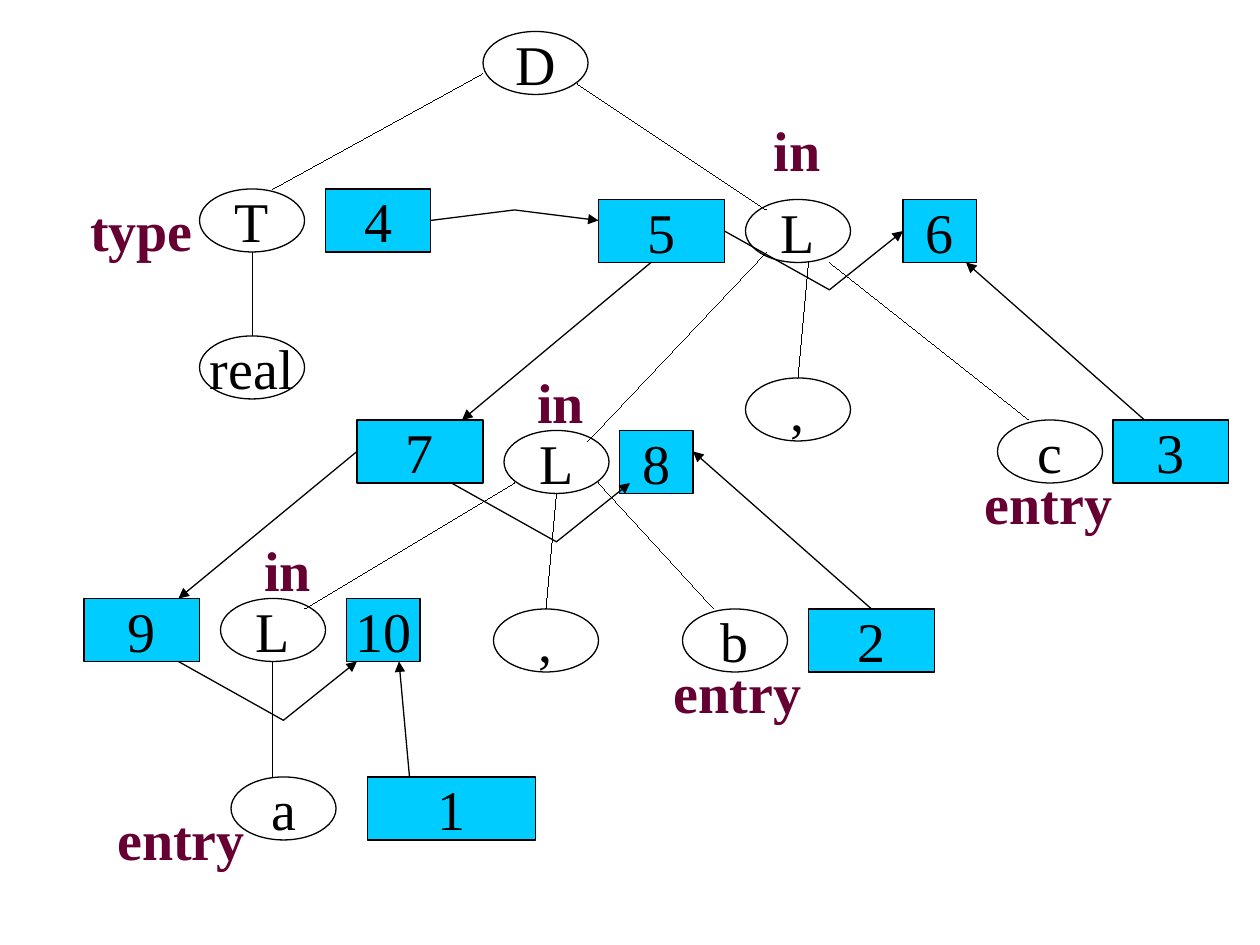
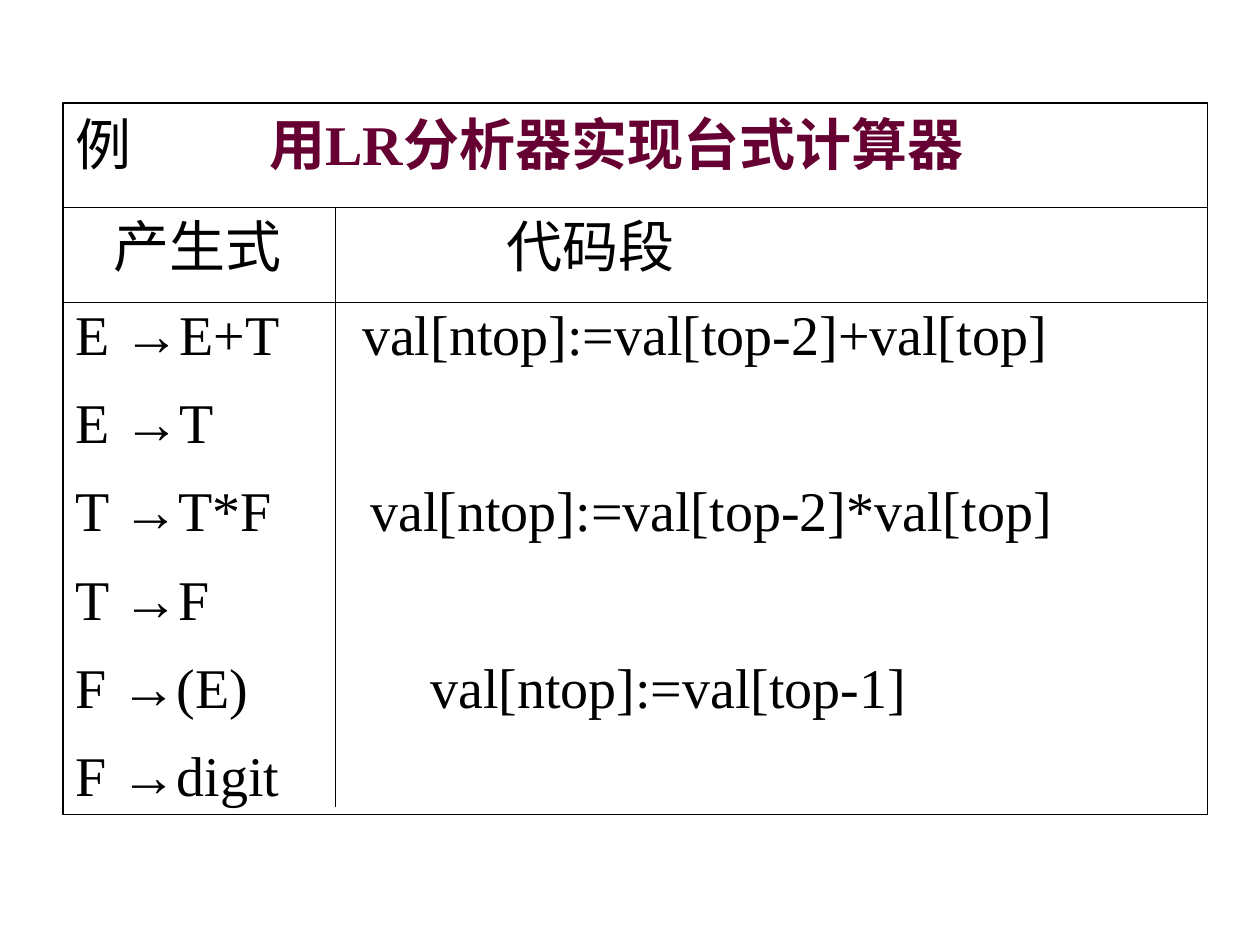
from dataclasses import dataclass
from typing import NamedTuple

from lxml import etree
from pptx import Presentation
from pptx import util as u
from pptx.dml.color import RGBColor
from pptx.enum import shapes, text
from pptx.oxml.ns import qn

PX = u.Inches(1) // 120


@dataclass(frozen=True)
class Theme:
    ink: RGBColor = RGBColor(0x00, 0x00, 0x00)
    paper: RGBColor = RGBColor(0xFF, 0xFF, 0xFF)
    order_fill: RGBColor = RGBColor(0x00, 0xCC, 0xFF)
    accent: RGBColor = RGBColor(0x66, 0x00, 0x33)
    font: str = "Times New Roman"
    arrow_font: str = "Arial"
    size: u.Pt = u.Pt(32)
    line: u.Pt = u.Pt(0.75)
    heading_gap: u.Pt = u.Pt(20)
    row_gap: u.Pt = u.Pt(12)


THEME = Theme()


class Point(NamedTuple):
    x: int
    y: int


class Symbol(NamedTuple):
    """A grammar symbol in the parse tree."""
    name: str
    x: int
    y: int


class Step(NamedTuple):
    """A numbered node of the dependency graph."""
    number: int
    x: int
    y: int
    width: int


class Attribute(NamedTuple):
    name: str
    x: int
    y: int


class Rule(NamedTuple):
    left: str
    right: str
    code: str = ""
    code_at: int = 0


SYMBOL_WIDTH, NODE_HEIGHT, ATTRIBUTE_HEIGHT = 100, 60, 77
ATTRIBUTE_WIDTHS = {"entry": 147, "type": 123, "in": 70}

SYMBOLS = [
    Symbol("D", 460, 30),
    Symbol("T", 190, 180), Symbol("real", 190, 320),
    Symbol("L", 710, 190), Symbol(",", 710, 360), Symbol("c", 950, 400),
    Symbol("L", 480, 410), Symbol(",", 470, 580), Symbol("b", 650, 580),
    Symbol("L", 210, 570), Symbol("a", 220, 740),
]
BRANCHES = [
    (Point(460, 70), Point(260, 180)),
    (Point(550, 80), Point(730, 200)),
    (Point(240, 320), Point(240, 240)),
    (Point(730, 240), Point(560, 420)),
    (Point(770, 250), Point(760, 360)),
    (Point(790, 250), Point(980, 400)),
    (Point(490, 460), Point(290, 580)),
    (Point(530, 470), Point(520, 580)),
    (Point(570, 460), Point(680, 580)),
    (Point(260, 630), Point(260, 740)),
]
STEPS = [
    Step(1, 350, 740, 160), Step(2, 770, 580, 120), Step(3, 1060, 400, 110),
    Step(4, 310, 180, 100), Step(5, 570, 190, 120), Step(6, 860, 190, 70),
    Step(7, 340, 400, 120), Step(8, 590, 410, 70), Step(9, 80, 570, 110),
    Step(10, 330, 570, 70),
]
DEPENDENCIES = [
    (Point(410, 210), Point(490, 200), Point(570, 210)),
    (Point(690, 220), Point(790, 276), Point(860, 220)),
    (Point(1090, 400), Point(920, 250)),
    (Point(620, 250), Point(440, 400)),
    (Point(430, 460), Point(530, 516), Point(600, 460)),
    (Point(830, 580), Point(660, 430)),
    (Point(340, 430), Point(170, 570)),
    (Point(390, 740), Point(380, 630)),
    (Point(170, 630), Point(270, 686), Point(340, 630)),
]
ATTRIBUTES = [
    Attribute("entry", 100, 760), Attribute("entry", 630, 620),
    Attribute("entry", 926, 440), Attribute("type", 74, 180),
    Attribute("in", 725, 104), Attribute("in", 500, 344),
    Attribute("in", 240, 504),
]
RULES = [
    Rule("E", "E+T", "val[ntop]:=val[top-2]+val[top]", 273),
    Rule("E", "T"),
    Rule("T", "T*F", "val[ntop]:=val[top-2]*val[top]", 281),
    Rule("T", "F"),
    Rule("F", "(E)", "val[ntop]:=val[top-1]", 338),
    Rule("F", "digit"),
]


def write(paragraph, words: str, *, color: RGBColor = THEME.ink,
          bold: bool = False, font: str = THEME.font) -> None:
    run = paragraph.add_run()
    run.text = words
    run.font.name, run.font.size = font, THEME.size
    run.font.bold, run.font.color.rgb = bold, color


def outline(shape) -> None:
    shape.line.color.rgb = THEME.ink
    shape.line.width = THEME.line


def add_box(slide, kind, x: int, y: int, width: int, height: int, fill: RGBColor):
    box = slide.shapes.add_shape(kind, x * PX, y * PX, width * PX, height * PX)
    box.shadow.inherit = False
    box.fill.solid()
    box.fill.fore_color.rgb = fill
    outline(box)
    return box


def add_node(slide, kind, label: str, x: int, y: int, width: int, fill: RGBColor) -> None:
    """Draw a tree or graph node with its centred label."""
    frame = add_box(slide, kind, x, y, width, NODE_HEIGHT, fill).text_frame
    frame.word_wrap = False
    frame.vertical_anchor = text.MSO_ANCHOR.MIDDLE
    frame.paragraphs[0].alignment = text.PP_ALIGN.CENTER
    write(frame.paragraphs[0], label)


def add_line(slide, start: Point, end: Point):
    """Draw a hairline: without a style or a width it stays at its thinnest."""
    line = slide.shapes.add_connector(
        shapes.MSO_CONNECTOR.STRAIGHT, *(value * PX for value in (*start, *end)))
    line._element.remove(line._element.find(qn("p:style")))
    line.line.color.rgb = THEME.ink
    etree.SubElement(line._element.spPr, qn("a:effectLst"))
    return line


def add_dependency(slide, route: tuple[Point, ...]) -> None:
    """Draw an arrow along the route, bent where it has a middle point."""
    if len(route) == 2:
        arrow = add_line(slide, *route)
    else:
        builder = slide.shapes.build_freeform(*route[0], scale=PX)
        builder.add_line_segments(route[1:], close=False)
        arrow = builder.convert_to_shape()
        arrow.shadow.inherit = False
        arrow.fill.background()
    outline(arrow)
    etree.SubElement(arrow.line._get_or_add_ln(), qn("a:tailEnd"), type="triangle")


def add_attribute(slide, attribute: Attribute) -> None:
    frame = slide.shapes.add_textbox(
        attribute.x * PX, attribute.y * PX,
        ATTRIBUTE_WIDTHS[attribute.name] * PX, ATTRIBUTE_HEIGHT * PX).text_frame
    frame.word_wrap = False
    frame.auto_size = text.MSO_AUTO_SIZE.SHAPE_TO_FIT_TEXT
    write(frame.paragraphs[0], attribute.name, color=THEME.accent, bold=True)


def set_tabs(paragraph, *stops: int) -> None:
    tabs = etree.SubElement(paragraph._p.get_or_add_pPr(), qn("a:tabLst"))
    for stop in stops:
        etree.SubElement(tabs, qn("a:tab"), pos=str(stop * PX), algn="l")


def build_dependency_graph(slide) -> None:
    for symbol in SYMBOLS:
        add_node(slide, shapes.MSO_SHAPE.OVAL, symbol.name,
                 symbol.x, symbol.y, SYMBOL_WIDTH, THEME.paper)
    for branch in BRANCHES:
        add_line(slide, *branch)
    for step in STEPS:
        add_node(slide, shapes.MSO_SHAPE.RECTANGLE, str(step.number),
                 step.x, step.y, step.width, THEME.order_fill)
    for route in DEPENDENCIES:
        add_dependency(slide, route)
    for attribute in ATTRIBUTES:
        add_attribute(slide, attribute)


def build_calculator(slide) -> None:
    left, top, width, height = 60, 98, 1090, 678
    title_bottom, heading_bottom, divider = 198, 288, 320

    frame = add_box(slide, shapes.MSO_SHAPE.RECTANGLE,
                    left, top, width, height, THEME.paper).text_frame
    frame.word_wrap = True
    frame.auto_size = text.MSO_AUTO_SIZE.SHAPE_TO_FIT_TEXT
    frame.vertical_anchor = text.MSO_ANCHOR.TOP

    title = frame.paragraphs[0]
    set_tabs(title, 185)
    write(title, "例\t")
    write(title, "用LR分析器实现台式计算器", color=THEME.accent, bold=True)

    headings = frame.add_paragraph()
    set_tabs(headings, 36, 411)
    headings.space_before = THEME.heading_gap
    write(headings, "\t产生式\t代码段")

    for rule in RULES:
        row = frame.add_paragraph()
        row.space_before = THEME.row_gap
        write(row, f"{rule.left} ")
        write(row, "→", font=THEME.arrow_font)
        write(row, rule.right)
        if rule.code:
            set_tabs(row, rule.code_at)
            write(row, f"\t{rule.code}")
    for paragraph in frame.paragraphs:
        paragraph.alignment = text.PP_ALIGN.LEFT

    for y in (title_bottom, heading_bottom):
        add_line(slide, Point(left, y), Point(left + width, y))
    add_line(slide, Point(divider, title_bottom), Point(divider, 768))


def main() -> None:
    deck = Presentation()
    deck.slide_width, deck.slide_height = 1200 * PX, 900 * PX
    blank = deck.slide_layouts[6]
    for build in (build_dependency_graph, build_calculator):
        build(deck.slides.add_slide(blank))
    deck.save("out.pptx")


if __name__ == "__main__":
    main()
